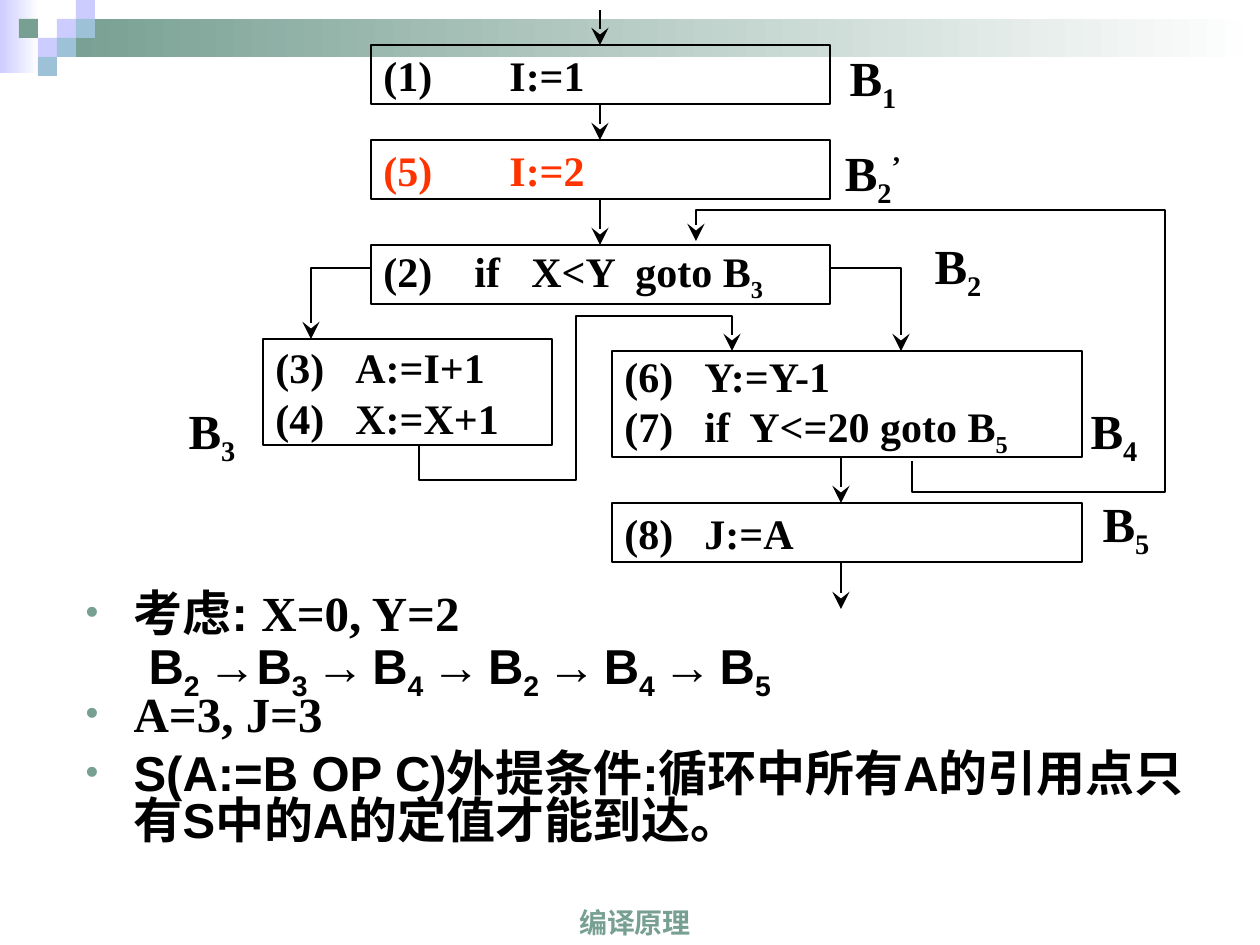
"""Build a slide showing a control-flow graph of basic blocks with notes on loop-invariant code motion."""
from lxml import etree
from pptx import Presentation
from pptx import util as u
from pptx.dml.color import RGBColor
from pptx.enum import shapes, text
from pptx.oxml import ns

BLACK = RGBColor(0x00, 0x00, 0x00)
WHITE = RGBColor(0xFF, 0xFF, 0xFF)
RED = RGBColor(0xFF, 0x33, 0x00)
GREEN = RGBColor(0x77, 0x9F, 0x92)
LAVENDER = RGBColor(0xCC, 0xCC, 0xFF)
SKY = RGBColor(0x9D, 0xC2, 0xD7)
SERIF, SANS = "Times New Roman", "Arial"

BANDS = [((0, 0, 39, 73), LAVENDER), ((57, 19, 1203, 38), GREEN)]
TILE = 19
TILES = [(3, 1, LAVENDER), (4, 0, LAVENDER), (4, 1, SKY), (2, 2, LAVENDER),
         (1, 1, GREEN), (3, 2, SKY), (2, 3, SKY)]

BLOCKS = [
    ((371, 45, 459, 59), ["(1)\tI:=1"], [126], BLACK),
    ((371, 140, 459, 59), ["(5)\tI:=2"], [126], RED),
    ((371, 245, 459, 59), ["(2)\tif\tX<Y\tgoto B|_3"], [91, 148, 252], BLACK),
    ((263, 339, 289, 106), ["(3)\tA:=I+1", "(4)\tX:=X+1"], [80], BLACK),
    ((612, 351, 470, 106), ["(6)\tY:=Y-1", "(7)\tif\tY<=20 goto B|_5"], [80, 125], BLACK),
    ((612, 503, 470, 59), ["(8)\tJ:=A"], [80], BLACK),
]
BLOCK_LABELS = [("B|_1", 840, 45), ("B|_2|^’", 840, 140), ("B|_2", 925, 233),
                ("B|_3", 179, 398), ("B|_4", 1081, 398), ("B|_5", 1093, 491)]
FLOWS = [
    [(600, 10), (600, 45)],
    [(600, 104), (600, 140)],
    [(600, 198), (600, 245)],
    [(841, 456), (841, 503)],
    [(841, 562), (841, 609)],
    [(371, 268), (311, 268), (311, 339)],
    [(829, 268), (901, 268), (901, 351)],
    [(912, 461), (912, 492), (1165, 492), (1165, 210), (696, 210), (696, 241)],
    [(419, 445), (419, 480), (576, 480), (576, 316), (732, 316), (732, 351)],
]
TRACE = "B|_2 |→B|_3 |→|_ |B|_4 |→|_ |B|_2 |→|_ |B|_4 |→|_ |B|_5"
NOTES = [
    ([("考虑: ", SANS), ("X=0, Y=2", SERIF)], True, 0),
    ([(TRACE, SANS)], False, 0),
    ([("A=3, J=3", SERIF)], True, 0),
    ([("S(A:=B OP C)外提条件:循环中所有A的引用点只有S中的A的定值才能到达。", SANS)], True, 7),
]
FOOTER = "编译原理"
BASELINES = {"_": "-25000", "^": "30000"}


def px(n):
    return u.Emu(round(n * 914400 / 126))


def box(bounds):
    return [px(n) for n in bounds]


def sub(parent, tag, **attributes):
    return etree.SubElement(parent, ns.qn(tag), {k: str(v) for k, v in attributes.items()})


def write(paragraph, marked, size, font=SERIF, color=BLACK):
    for part in marked.split("|"):
        run = paragraph.add_run()
        run.text = part.lstrip("_^")
        run.font.size, run.font.name, run.font.bold = u.Pt(size), font, True
        run.font.color.rgb = color
        if part[0] in BASELINES:
            run._r.get_or_add_rPr().set("baseline", BASELINES[part[0]])


def add_rect(slide, bounds):
    rect = slide.shapes.add_shape(shapes.MSO_SHAPE.RECTANGLE, *box(bounds))
    rect.shadow.inherit = False
    rect.line.fill.background()
    return rect


def add_band(slide, bounds, color):
    fill = add_rect(slide, bounds).fill
    fill.gradient()
    fill.gradient_angle = 0
    for stop, shade in zip(fill.gradient_stops, (color, WHITE)):
        stop.color.rgb = shade


def add_tile(slide, column, row, color):
    fill = add_rect(slide, (column * TILE, row * TILE, TILE, TILE)).fill
    fill.solid()
    fill.fore_color.rgb = color


def add_block(slide, bounds, statements, stops, color):
    block = add_rect(slide, bounds)
    block.fill.background()
    block.line.color.rgb, block.line.width = BLACK, u.Pt(1)
    frame = block.text_frame
    frame.vertical_anchor = text.MSO_ANCHOR.MIDDLE
    for i, statement in enumerate(statements):
        paragraph = frame.paragraphs[0] if i == 0 else frame.add_paragraph()
        paragraph.alignment = text.PP_ALIGN.LEFT
        tabs = sub(paragraph._p.get_or_add_pPr(), "a:tabLst")
        for stop in stops:
            sub(tabs, "a:tab", pos=px(stop), algn="l")
        write(paragraph, statement, 24, color=color)


def add_caption(slide, bounds, marked, size, anchor, **style):
    frame = slide.shapes.add_textbox(*box(bounds)).text_frame
    frame.word_wrap = True
    frame.margin_left = frame.margin_right = 0
    frame.vertical_anchor = anchor
    frame.paragraphs[0].alignment = text.PP_ALIGN.CENTER
    write(frame.paragraphs[0], marked, size, **style)


def add_flow(slide, points):
    corners = [tuple(box(point)) for point in points]
    if len(corners) == 2:
        flow = slide.shapes.add_connector(shapes.MSO_CONNECTOR.STRAIGHT, *corners[0], *corners[1])
    else:
        outline = slide.shapes.build_freeform(*corners[0])
        outline.add_line_segments(corners[1:], close=False)
        flow = outline.convert_to_shape()
        flow.fill.background()
    flow.line.color.rgb, flow.line.width = BLACK, u.Pt(1.25)
    properties = flow._element.spPr
    sub(properties.find(ns.qn("a:ln")), "a:tailEnd", type="stealth", w="lg", len="lg")
    sub(properties, "a:effectLst")


def fill_notes(body):
    body.left, body.top, body.width, body.height = box((73, 588, 1166, 273))
    frame = body.text_frame
    frame.word_wrap = True
    frame.auto_size = text.MSO_AUTO_SIZE.NONE
    frame.vertical_anchor = text.MSO_ANCHOR.TOP
    for i, (pieces, bulleted, before) in enumerate(NOTES):
        paragraph = frame.paragraphs[0] if i == 0 else frame.add_paragraph()
        paragraph.level = 0 if bulleted else 1
        paragraph.line_spacing, paragraph.space_before = 0.8, u.Pt(before)
        properties = paragraph._p.get_or_add_pPr()
        margin, indent = (48, -48) if bulleted else (102, -39)
        properties.set("marL", str(px(margin)))
        properties.set("indent", str(px(indent)))
        if bulleted:
            sub(sub(properties, "a:buClr"), "a:srgbClr", val=GREEN)
            sub(properties, "a:buSzPct", val=75000)
            sub(properties, "a:buFont", typeface=SANS)
            sub(properties, "a:buChar", char="•")
        else:
            sub(properties, "a:buNone")
        for piece, font in pieces:
            write(paragraph, piece, 28, font=font)


def main():
    deck = Presentation()
    deck.slide_width, deck.slide_height = box((1260, 945))
    slide = deck.slides.add_slide(deck.slide_layouts[1])
    title, notes = slide.placeholders
    title._element.getparent().remove(title._element)
    for band in BANDS:
        add_band(slide, *band)
    for tile in TILES:
        add_tile(slide, *tile)
    for block in BLOCKS:
        add_block(slide, *block)
    for label, left, top in BLOCK_LABELS:
        add_caption(slide, (left, top, 66, 71), label, 28, text.MSO_ANCHOR.MIDDLE)
    for flow in FLOWS:
        add_flow(slide, flow)
    fill_notes(notes)
    add_caption(slide, (412, 882, 446, 63), FOOTER, 16, text.MSO_ANCHOR.BOTTOM,
                font=SANS, color=GREEN)
    deck.save("out.pptx")


if __name__ == "__main__":
    main()
